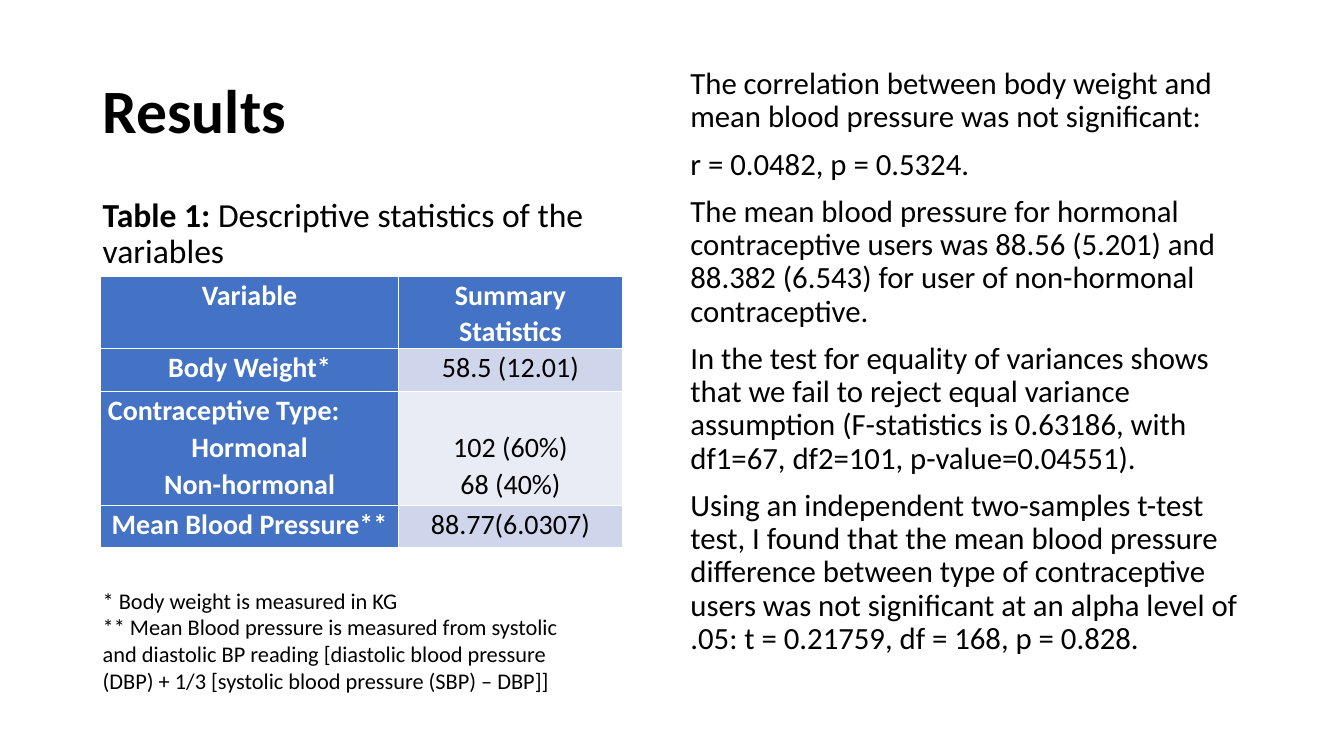
from pptx import Presentation
from pptx.dml.color import RGBColor
from pptx.enum.text import MSO_ANCHOR, PP_ALIGN
from pptx.util import Cm, Pt

TOP, MIDDLE, BOTTOM = MSO_ANCHOR.TOP, MSO_ANCHOR.MIDDLE, MSO_ANCHOR.BOTTOM
LEFT, CENTER = PP_ALIGN.LEFT, PP_ALIGN.CENTER

COLORS = {
    "text": "000000",
    "header": "4472C4",
    "header_text": "FFFFFF",
    "band_dark": "CFD5EA",
    "band_light": "E9EBF5",
}

FINDINGS = [
    "The correlation between body weight and mean blood pressure was not significant:",
    "r = 0.0482, p = 0.5324.",
    "The mean blood pressure for hormonal contraceptive users was 88.56 (5.201) and "
    "88.382 (6.543) for user of non-hormonal contraceptive.",
    "In the test for equality of variances shows that we fail to reject equal variance "
    "assumption (F-statistics is 0.63186, with df1=67, df2=101, p-value=0.04551).",
    "Using an independent two-samples t-test test, I found that the mean blood pressure "
    "difference between type of contraceptive users was not significant at an alpha "
    "level of .05: t = 0.21759, df = 168, p = 0.828.",
]

FOOTNOTES = [
    "* Body weight is measured in KG",
    "** Mean Blood pressure is measured from systolic and diastolic BP reading "
    "[diastolic blood pressure (DBP) + 1/3 [systolic blood pressure (SBP) – DBP]]",
]

STATISTICS = [
    (["Variable"], ["Summary Statistics"]),
    (["Body Weight*"], ["58.5 (12.01)"]),
    (["Contraceptive Type:", "Hormonal", "Non-hormonal"], ["102 (60%)", "68 (40%)"]),
    (["Mean Blood Pressure**"], ["88.77(6.0307)"]),
]


def write_paragraph(paragraph, text, size, color="text", bold=False, font="Calibri",
                    align=LEFT, spacing=1.0, before=0):
    """Append text as a run and format its paragraph."""
    paragraph.alignment = align
    paragraph.line_spacing = spacing
    paragraph.space_before = Pt(before)
    run = paragraph.add_run()
    run.text = text
    run.font.name = font
    run.font.size = Pt(size)
    run.font.bold = bold
    run.font.color.rgb = RGBColor.from_string(COLORS[color])


class SlideBuilder:
    def __init__(self, presentation):
        self.slide = presentation.slides.add_slide(presentation.slide_layouts[6])

    def text_box(self, left, top, width, height, lines, anchor=TOP, **style):
        shape = self.slide.shapes.add_textbox(Cm(left), Cm(top), Cm(width), Cm(height))
        frame = shape.text_frame
        frame.word_wrap = True
        frame.vertical_anchor = anchor
        self.fill_frame(frame, lines, **style)
        return frame

    def fill_frame(self, frame, lines, **style):
        for index, line in enumerate(lines):
            paragraph = frame.add_paragraph() if index else frame.paragraphs[0]
            write_paragraph(paragraph, line, **style)

    def table(self, left, top, column_widths, row_heights, rows):
        shape = self.slide.shapes.add_table(
            len(rows), len(column_widths), Cm(left), Cm(top),
            Cm(sum(column_widths)), Cm(sum(row_heights)))
        table = shape.table
        table.first_col = True
        for column, width in zip(table.columns, column_widths):
            column.width = Cm(width)
        for row_index, (row, height) in enumerate(zip(table.rows, row_heights)):
            row.height = Cm(height)
            for column_index, lines in enumerate(rows[row_index]):
                is_header = row_index == 0 or column_index == 0
                band = "band_dark" if row_index % 2 else "band_light"
                self.cell(row.cells[column_index], lines, is_header, band)
        return table

    def cell(self, cell, lines, is_header, band):
        cell.margin_left = cell.margin_right = Cm(0.18)
        cell.margin_top = cell.margin_bottom = 0
        cell.fill.solid()
        fill = "header" if is_header else band
        cell.fill.fore_color.rgb = RGBColor.from_string(COLORS[fill])
        self.fill_frame(cell.text_frame, lines, size=20, bold=is_header,
                        color="header_text" if is_header else "text",
                        align=CENTER, spacing=1.07)


def main():
    presentation = Presentation()
    presentation.slide_width = Cm(33.87)
    presentation.slide_height = Cm(19.05)
    builder = SlideBuilder(presentation)

    # Title and table caption
    builder.text_box(2.34, 1.02, 29.2, 3.68, ["Results"], anchor=MIDDLE,
                     size=44, bold=True, spacing=0.9)
    caption = builder.text_box(2.34, 4.67, 14.33, 2.29, ["Table 1: "], anchor=BOTTOM,
                               size=24, bold=True, spacing=0.9, before=10)
    write_paragraph(caption.paragraphs[0], "Descriptive statistics of the variables",
                    size=24, spacing=0.9, before=10)

    # Descriptive statistics
    table = builder.table(2.54, 6.96, [7.5, 5.65], [1.83, 1.08, 2.86, 1.08], STATISTICS)
    table.cell(2, 0).text_frame.paragraphs[0].alignment = LEFT
    group_counts = table.cell(2, 1)
    group_counts.vertical_anchor = BOTTOM
    group_counts.margin_bottom = Cm(0.08)

    # Findings and footnotes
    builder.text_box(17.15, 0.66, 14.63, 16.0, FINDINGS, anchor=BOTTOM,
                     size=22, spacing=0.9, before=10)
    builder.text_box(2.34, 14.66, 12.57, 3.0, FOOTNOTES, size=16)

    presentation.save("out.pptx")


if __name__ == "__main__":
    main()
